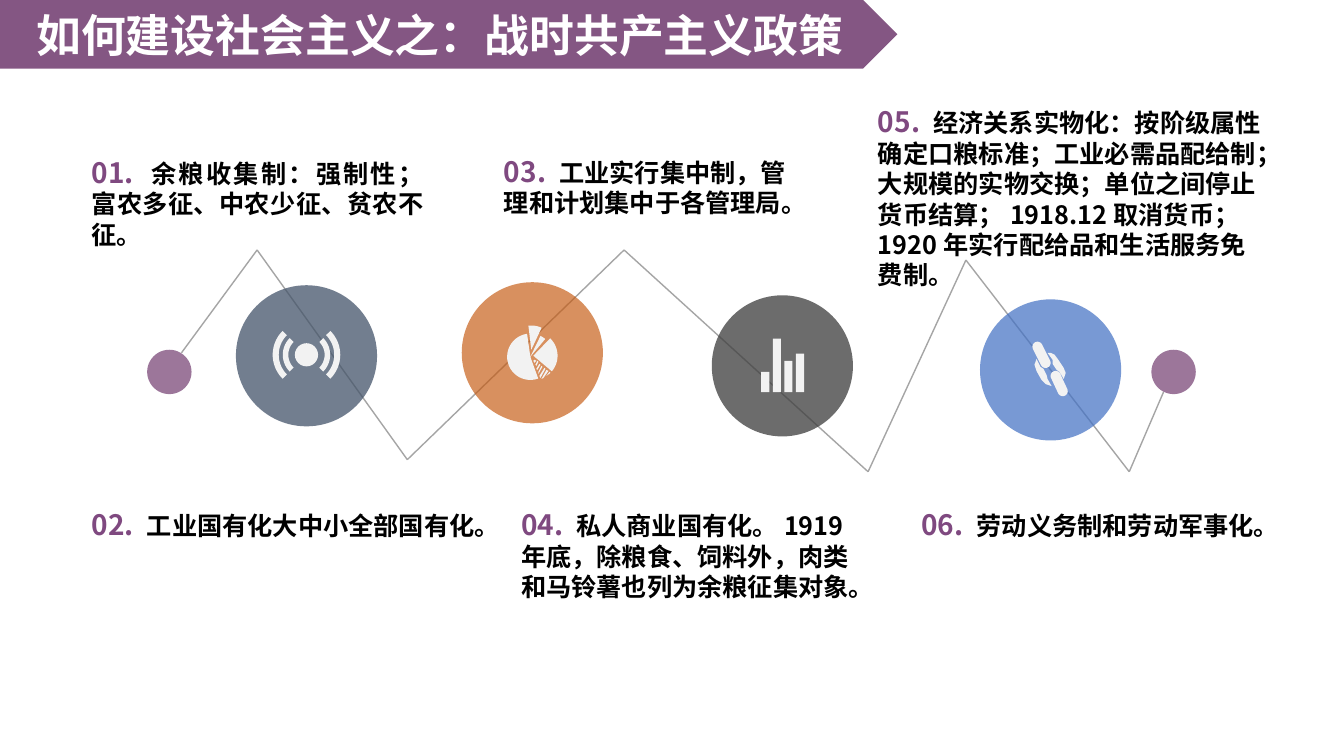
"""Build the slide on the policies of war communism."""
from math import cos, radians, sin

from lxml.etree import SubElement
from pptx import Presentation
from pptx.dml.color import RGBColor
from pptx.enum.shapes import MSO_CONNECTOR, MSO_SHAPE as Shape
from pptx.enum.text import MSO_ANCHOR as Anchor, MSO_AUTO_SIZE as AutoSize, PP_ALIGN as Align
from pptx.oxml.ns import qn
from pptx.util import Inches, Pt

FONT = "Noto Sans CJK SC"
COLORS = {"plum": "5A1B58", "number": "7F4980", "slate": "44546A", "orange": "C55A11",
          "gray": "404040", "blue": "4472C4", "line": "A5A5A5", "icon": "F2F2F2",
          "white": "FFFFFF", "black": "000000"}
TITLE = "如何建设社会主义之：战时共产主义政策"
POLICIES = [
    ("01. ", "余粮收集制：强制性；富农多征、中农少征、贫农不征。", (0.81, 1.49, 3.49, 0.74)),
    ("02. ", "工业国有化大中小全部国有化。", (0.81, 4.99, 4.09, 0.44)),
    ("03. ", "工业实行集中制，管理和计划集中于各管理局。", (4.9, 1.48, 3.23, 0.74)),
    ("04. ", "私人商业国有化。1919年底，除粮食、饲料外，肉类和马铃薯也列为余粮征集对象。",
     (5.07, 4.99, 3.64, 1.04)),
    ("05. ", "经济关系实物化：按阶级属性确定口粮标准；工业必需品配给制；大规模的实物交换；"
     "单位之间停止货币结算；1918.12取消货币；1920年实行配给品和生活服务免费制。",
     (8.61, 0.99, 4.04, 1.65)),
    ("06. ", "劳动义务制和劳动军事化。", (9.04, 4.99, 3.74, 0.44)),
]
ZIGZAG = [(1.8, 3.5), (2.55, 2.48), (4.04, 4.56), (6.19, 2.48), (8.61, 4.68),
          (9.58, 2.58), (11.2, 4.68), (11.54, 3.89)]
END_DOTS, DOT_TOP, DOT_SIZE = (1.46, 11.42), 3.47, 0.44
DISC_SIZE = 1.4
DISCS = [(2.34, 2.83, "slate", 75), (4.58, 2.8, "orange", 67),
         (7.06, 2.93, "gray", 77), (9.72, 2.97, "blue", 72)]
BAR_HEIGHTS = (0.2, 0.53, 0.31, 0.38)
PIE_STRIPES = [
    [(5.45, 3.69), (5.46, 3.7), (5.42, 3.73)],
    [(5.44, 3.68), (5.39, 3.75), (5.37, 3.76), (5.42, 3.67)],
    [(5.41, 3.66), (5.36, 3.75), (5.35, 3.73), (5.4, 3.65)],
    [(5.38, 3.64), (5.34, 3.71), (5.34, 3.69), (5.37, 3.63)],
    [(5.36, 3.62), (5.33, 3.67), (5.32, 3.66), (5.35, 3.61)],
    [(5.34, 3.59), (5.32, 3.63), (5.31, 3.62), (5.33, 3.58)],
    [(5.32, 3.58), (5.3, 3.6), (5.29, 3.58), (5.3, 3.57)],
]
CHAIN_CURVES = [
    [(10.39, 3.5), (10.42, 3.5), (10.46, 3.52), (10.49, 3.56), (10.55, 3.65), (10.57, 3.7),
     (10.55, 3.76), (10.51, 3.69), (10.48, 3.67), (10.44, 3.61), (10.44, 3.57)],
    [(10.43, 3.83), (10.39, 3.76), (10.38, 3.72), (10.35, 3.66), (10.32, 3.64), (10.28, 3.56),
     (10.26, 3.62), (10.28, 3.68), (10.33, 3.77), (10.37, 3.81)],
]


def arc(center, radius, start, end, steps=24):
    angles = [radians(start + (end - start) * step / steps) for step in range(steps + 1)]
    return [(center[0] + radius * cos(a), center[1] + radius * sin(a)) for a in angles]


def wedge(center, radius, start, end):
    return [center] + arc(center, radius, start, end)


def band(center, inner, outer, middle, spread=45):
    return (arc(center, outer, middle - spread, middle + spread)
            + arc(center, inner, middle + spread, middle - spread))


def link(start, end, radius=0.05, tilt=63):
    return arc(start, radius, tilt + 90, tilt + 270) + arc(end, radius, tilt - 90, tilt + 90)


def signal_icon():
    center = (3.04, 3.52)
    bands = [band(center, inner, outer, middle) for middle in (0, 180)
             for inner, outer in ((0.18, 0.235), (0.275, 0.335))]
    return [arc(center, 0.115, 0, 360)] + bands


def pie_icon():
    center = (5.26, 3.54)
    return [wedge(center, 0.23, 70, 262), wedge(center, 0.23, -64, -50),
            wedge((5.27, 3.47), 0.24, -97, -65),
            wedge((5.29, 3.53), 0.24, -46, 40)] + PIE_STRIPES


def bars_icon(left=7.55, base=3.89, pitch=0.115, width=0.08):
    lefts = [left + index * pitch for index in range(len(BAR_HEIGHTS))]
    return [[(x, base), (x, base - height), (x + width, base - height), (x + width, base)]
            for x, height in zip(lefts, BAR_HEIGHTS)]


def chain_icon():
    return CHAIN_CURVES + [link((10.29, 3.44), (10.37, 3.6)), link((10.47, 3.73), (10.54, 3.88))]


def paint(shape, color, opacity=100):
    shape.shadow.inherit = False
    shape.fill.solid()
    shape.fill.fore_color.rgb = RGBColor.from_string(COLORS[color])
    shape.line.fill.background()
    if opacity < 100:
        hue = shape.fill._xPr.find(".//" + qn("a:srgbClr"))
        SubElement(hue, qn("a:alpha")).set("val", str(opacity * 1000))


def add_preset(slide, preset, box, color, opacity):
    shape = slide.shapes.add_shape(preset, *map(Inches, box))
    paint(shape, color, opacity)
    return shape


def add_icon(slide, contours):
    outlines = [[(Inches(x), Inches(y)) for x, y in contour] for contour in contours]
    builder = slide.shapes.build_freeform(*outlines[0][0], scale=1.0)
    for index, outline in enumerate(outlines):
        if index:
            builder.move_to(*outline[0])
        builder.add_line_segments(outline[1:], close=True)
    paint(builder.convert_to_shape(), "icon")


def add_line(slide, start, end):
    line = slide.shapes.add_connector(MSO_CONNECTOR.STRAIGHT, *map(Inches, start + end))
    line.line.color.rgb = RGBColor.from_string(COLORS["line"])
    line.line.width = Pt(1)
    SubElement(line._element.spPr, qn("a:effectLst"))


def add_run(paragraph, text, *, size, color):
    run = paragraph.add_run()
    run.text = text
    run.font.size, run.font.bold, run.font.name = Pt(size), True, FONT
    run.font.color.rgb = RGBColor.from_string(COLORS[color])
    SubElement(run.font._element, qn("a:ea")).set("typeface", FONT)


def add_policy(slide, number, text, box, *, align, wrap):
    frame = slide.shapes.add_textbox(*map(Inches, box)).text_frame
    frame.word_wrap, frame.auto_size = wrap, AutoSize.SHAPE_TO_FIT_TEXT
    paragraph = frame.paragraphs[0]
    paragraph.alignment = align
    add_run(paragraph, number, size=20, color="number")
    add_run(paragraph, text, size=18, color="black")


def main():
    presentation = Presentation()
    presentation.slide_width, presentation.slide_height = Inches(13.33), Inches(7.5)
    slide = presentation.slides.add_slide(presentation.slide_layouts[6])

    banner = add_preset(slide, Shape.PENTAGON, (0, 0, 8.9, 0.68), "plum", 74)
    banner.text_frame.vertical_anchor = Anchor.MIDDLE
    heading = banner.text_frame.paragraphs[0]
    heading.alignment = Align.CENTER
    add_run(heading, TITLE, size=32, color="white")

    for start, end in zip(ZIGZAG, ZIGZAG[1:]):
        add_line(slide, start, end)
    for left in END_DOTS:
        add_preset(slide, Shape.OVAL, (left, DOT_TOP, DOT_SIZE, DOT_SIZE), "plum", 60)
    icons = (signal_icon(), pie_icon(), bars_icon(), chain_icon())
    for (left, top, color, opacity), icon in zip(DISCS, icons):
        add_preset(slide, Shape.OVAL, (left, top, DISC_SIZE, DISC_SIZE), color, opacity)
        add_icon(slide, icon)
    for number, text, box in POLICIES:
        align = Align.JUSTIFY if number == "01. " else Align.LEFT
        add_policy(slide, number, text, box, align=align, wrap=number != "06. ")

    presentation.save("out.pptx")


if __name__ == "__main__":
    main()
